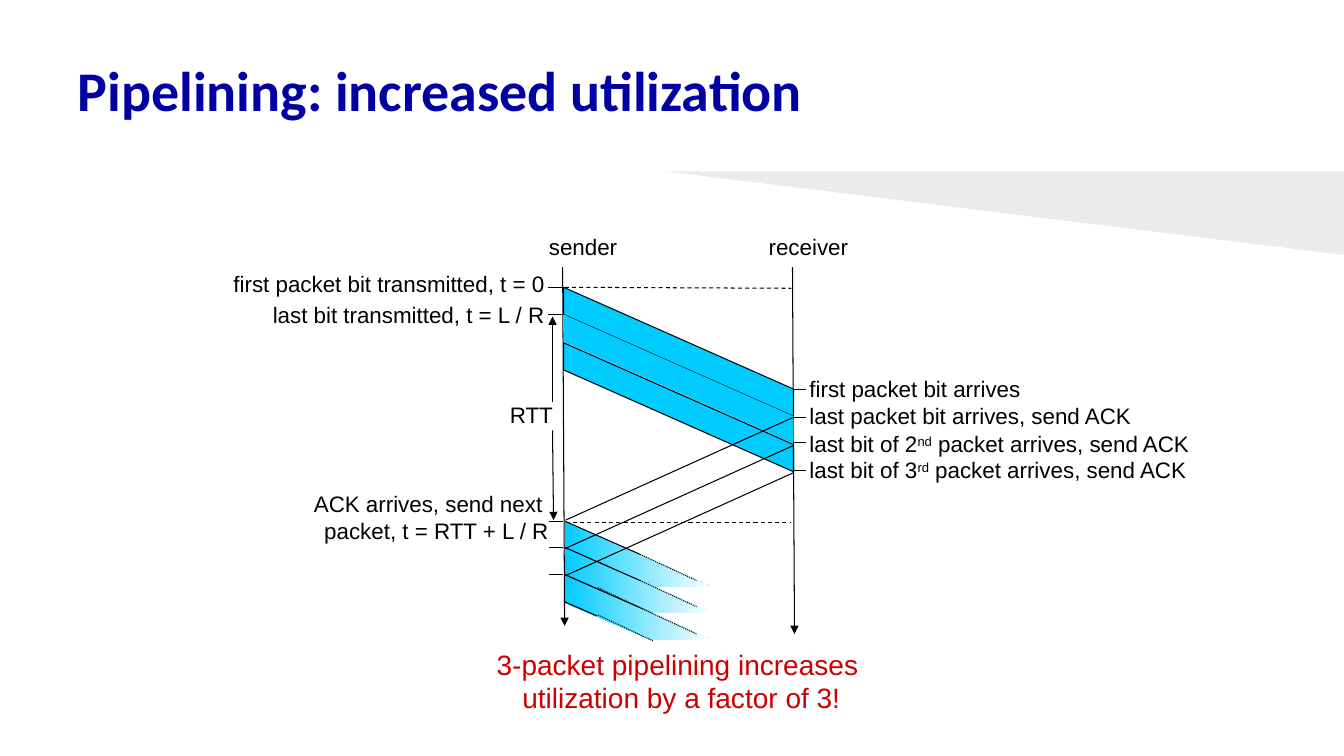
from lxml import etree
from pptx import Presentation
from pptx.dml.color import RGBColor
from pptx.enum.dml import MSO_LINE
from pptx.enum.shapes import MSO_CONNECTOR
from pptx.enum.text import MSO_ANCHOR, MSO_AUTO_SIZE, PP_ALIGN
from pptx.oxml.ns import qn
from pptx.util import Inches, Pt

BLACK = RGBColor(0x00, 0x00, 0x00)
WHITE = RGBColor(0xFF, 0xFF, 0xFF)
NAVY = RGBColor(0x00, 0x00, 0xA3)
RED = RGBColor(0xCC, 0x00, 0x00)
CYAN = RGBColor(0x00, 0xCC, 0xFF)
PALE_GRAY = RGBColor(0xEB, 0xEB, 0xEB)

SENDER_X = 5.59
RECEIVER_X = 7.87
FADE_X = 5.6


class Diagram:
    font_name = "Arial"
    label_size = Pt(16)
    line_width = Pt(0.75)

    def __init__(self, presentation):
        self.slide = presentation.slides.add_slide(presentation.slide_layouts[5])
        self.shapes = self.slide.shapes

    def title(self, text, left, top, width, height):
        title = self.shapes.title
        title.left, title.top = Inches(left), Inches(top)
        title.width, title.height = Inches(width), Inches(height)
        frame = title.text_frame
        frame.text = text
        frame.auto_size = MSO_AUTO_SIZE.NONE
        frame.vertical_anchor = MSO_ANCHOR.MIDDLE
        frame.margin_left = frame.margin_right = Inches(0.1)
        frame.margin_top = frame.margin_bottom = Inches(0.1)
        paragraph = frame.paragraphs[0]
        paragraph.alignment = PP_ALIGN.LEFT
        paragraph.line_spacing = 0.9
        font = paragraph.font
        font.name, font.size, font.bold = "Calibri", Pt(40), True
        font.color.rgb = NAVY

    def label(self, lines, left, top, width, height, align=PP_ALIGN.RIGHT,
              size=label_size, color=BLACK, fill=None):
        box = self.shapes.add_textbox(Inches(left), Inches(top), Inches(width), Inches(height))
        if fill is not None:
            box.fill.solid()
            box.fill.fore_color.rgb = fill
        frame = box.text_frame
        frame.word_wrap = True
        for index, runs in enumerate(lines):
            paragraph = frame.add_paragraph() if index else frame.paragraphs[0]
            paragraph.alignment = align
            paragraph.font.name, paragraph.font.size = self.font_name, size
            paragraph.font.color.rgb = color
            for position, text in enumerate(runs):
                run = paragraph.add_run()
                run.text = text
                if position % 2:
                    run._r.get_or_add_rPr().set("baseline", "30000")

    def line(self, x1, y1, x2, y2, dash=None, arrow=False):
        connector = self.shapes.add_connector(
            MSO_CONNECTOR.STRAIGHT, Inches(x1), Inches(y1), Inches(x2), Inches(y2))
        connector.line.color.rgb = BLACK
        connector.line.width = self.line_width
        if dash is not None:
            connector.line.dash_style = dash
        properties = connector._element.spPr
        if arrow:
            outline = properties.find(qn("a:ln"))
            etree.SubElement(outline, qn("a:tailEnd"), type="triangle")
        etree.SubElement(properties, qn("a:effectLst"))

    def polygon(self, points, color, fade_to=None, outlined=False):
        corners = [(Inches(x), Inches(y)) for x, y in points]
        builder = self.shapes.build_freeform(*corners[0], scale=1.0)
        builder.add_line_segments(corners[1:], close=True)
        shape = builder.convert_to_shape()
        shape.shadow.inherit = False
        if fade_to is None:
            shape.fill.solid()
            shape.fill.fore_color.rgb = color
        else:
            shape.fill.gradient()
            shape.fill.gradient_angle = 0
            for stop, stop_color in zip(shape.fill.gradient_stops, (color, fade_to)):
                stop.color.rgb = stop_color
        if outlined:
            shape.line.color.rgb = BLACK
            shape.line.width = self.line_width
        else:
            shape.line.fill.background()

    def packet(self, top, outlined):
        self.polygon([(SENDER_X, top), (RECEIVER_X, top + 1.01),
                      (RECEIVER_X, top + 1.28), (SENDER_X, top + 0.27)],
                     CYAN, outlined=outlined)

    def fading_packet(self, top):
        x, y = FADE_X, top - 0.01
        self.line(x - 0.02, y, x - 0.15, y)
        self.polygon([(x, top), (x + 1.46, top + 0.64),
                      (x + 0.87, top + 0.64), (x, top + 0.27)], CYAN, fade_to=WHITE)
        self.line(x, y, x + 0.75, y + 0.33)
        self.line(x + 0.75, y + 0.33, x + 1.31, y + 0.59, dash=MSO_LINE.ROUND_DOT)
        self.line(x, y + 0.27, x + 0.32, y + 0.41)
        self.line(x + 0.33, y + 0.4, x + 0.88, y + 0.66, dash=MSO_LINE.ROUND_DOT)


def main():
    presentation = Presentation()
    presentation.slide_width, presentation.slide_height = Inches(13.33), Inches(7.5)
    diagram = Diagram(presentation)
    diagram.polygon([(6.6, 1.7), (13.33, 1.7), (13.33, 2.53)], PALE_GRAY)
    diagram.title("Pipelining: increased utilization", 0.67, 0.3, 12, 1.25)

    diagram.label([["first packet bit transmitted, t = 0"]], 2.12, 2.63, 3.38, 0.39, fill=WHITE)
    diagram.line(5.58, 2.61, 5.6, 6.21, arrow=True)
    diagram.line(7.86, 2.63, 7.88, 6.29, arrow=True)
    diagram.label([["sender"]], 5.08, 2.26, 1.14, 0.39, fill=WHITE)
    diagram.label([["receiver"]], 7.3, 2.26, 1.21, 0.39, fill=WHITE)
    diagram.line(5.6, 2.85, 7.85, 2.86, dash=MSO_LINE.DASH)
    diagram.line(5.61, 5.18, 7.85, 5.18, dash=MSO_LINE.DASH)

    for top, outlined in ((2.85, True), (3.12, False), (3.4, True)):
        diagram.packet(top, outlined)
    for y in (2.85, 3.12):
        diagram.line(5.57, y, 5.44, y)

    diagram.label([["RTT "]], 4.58, 3.93, 1.06, 0.37)
    diagram.line(5.48, 4.27, 5.49, 5.16, arrow=True)
    diagram.line(5.48, 3.99, 5.48, 3.14, arrow=True)
    diagram.label([["last bit transmitted, t = L / R"]], 2.5, 2.94, 3, 0.39)
    diagram.label([["ACK arrives, send next "], ["packet, t = RTT + L / R"]],
                  2.66, 4.81, 2.88, 0.7)

    for top in (5.18, 5.44, 5.71):
        diagram.fading_packet(top)
    for ack_sent in (4.14, 4.42, 4.69):
        diagram.line(5.61, ack_sent + 1.02, RECEIVER_X, ack_sent)

    arrivals = (
        (["first packet bit arrives"], 3.67, 3.86),
        (["last packet bit arrives, send ACK"], 3.94, 4.14),
        (["last bit of 2", "nd", " packet arrives, send ACK"], 4.22, 4.39),
        (["last bit of 3", "rd", " packet arrives, send ACK"], 4.48, 4.67),
    )
    for runs, top, tick_y in arrivals:
        diagram.line(RECEIVER_X, tick_y, RECEIVER_X + 0.12, tick_y)
        diagram.label([runs], 7.93, top, 4.2, 0.42, align=PP_ALIGN.LEFT)

    diagram.label([["3-packet pipelining increases"], [" utilization by a factor of 3!"]],
                  2.37, 6.37, 8.7, 0.77, align=PP_ALIGN.CENTER, size=Pt(20), color=RED)
    presentation.save("out.pptx")


if __name__ == "__main__":
    main()
